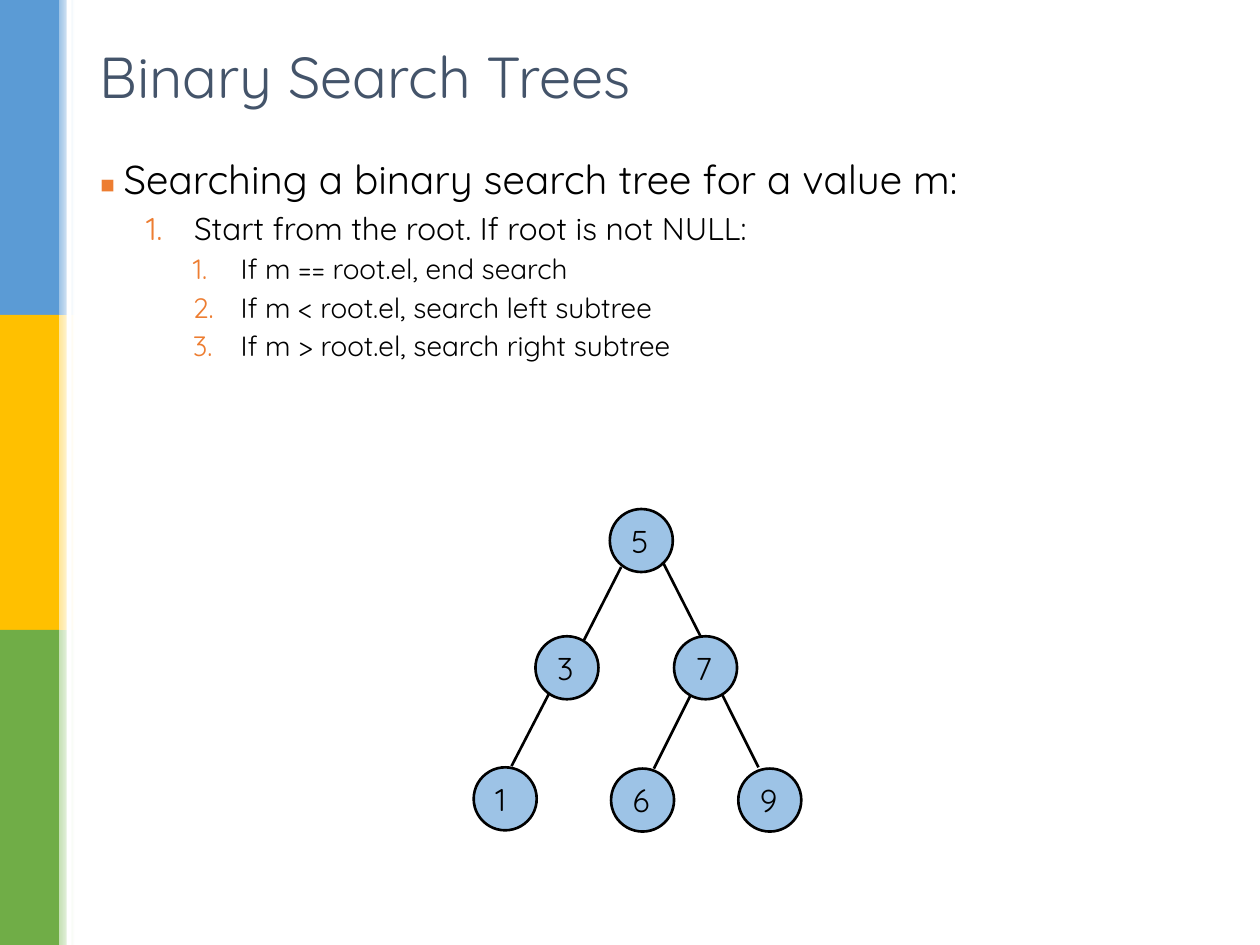
from lxml.etree import SubElement
from pptx import Presentation
from pptx.dml.color import RGBColor
from pptx.enum.shapes import MSO_CONNECTOR, MSO_SHAPE
from pptx.enum.text import MSO_ANCHOR, MSO_AUTO_SIZE, PP_ALIGN
from pptx.oxml.ns import qn
from pptx.util import Inches, Pt

BARS = [("5B9BD5", "9DC3E6"), ("FFC000", "FFE699"), ("70AD47", "C5E0B4")]
LEVELS = [(23, 0.19, 0.19), (18, 0.75, 0.38), (16, 1.12, 0.38)]
BULLETS = [
    (0, "Searching a binary search tree for a value m:"),
    (1, "Start from the root. If root is not NULL:"),
    (2, "If m == root.el, end search"),
    (2, "If m < root.el, search left subtree"),
    (2, "If m > root.el, search right subtree"),
]
NODES = {
    "5": (4.84, 4.04),
    "3": (4.25, 5.05),
    "7": (5.35, 5.05),
    "1": (3.76, 6.09),
    "6": (4.85, 6.1),
    "9": (5.86, 6.1),
}
EDGES = [
    (4.93, 4.5, 4.63, 5.09),
    (5.26, 4.46, 5.56, 5.05),
    (4.36, 5.5, 4.06, 6.08),
    (5.48, 5.52, 5.19, 6.1),
    (5.73, 5.51, 6.02, 6.09),
]


def rgb(value):
    return RGBColor.from_string(value)


def write(p, text, size=18, color="000000", font="Quicksand"):
    p.alignment = PP_ALIGN.LEFT
    r = p.add_run()
    r.text = text
    r.font.size = Pt(size)
    r.font.name = font
    r.font.color.rgb = rgb(color)


class TreeSlide:
    accent = "ED7D31"
    title_color = "44546A"
    node_fill = "9DC3E6"
    ink = "000000"
    line_width = Pt(1.5)
    node_size = 0.5

    def __init__(self, prs):
        self.s = prs.slides.add_slide(prs.slide_layouts[1])

    def place(self, sp, x, y, w, h):
        sp.left, sp.top, sp.width, sp.height = map(Inches, (x, y, w, h))
        sp.text_frame.auto_size = MSO_AUTO_SIZE.NONE
        return sp.text_frame

    def title(self, text, *box):
        tf = self.place(self.s.shapes.title, *box)
        tf.vertical_anchor = MSO_ANCHOR.MIDDLE
        write(tf.paragraphs[0], text, size=33, color=self.title_color)

    def bullets(self, items, *box):
        tf = self.place(self.s.placeholders[1], *box)
        for i, (level, text) in enumerate(items):
            p = tf.add_paragraph() if i else tf.paragraphs[0]
            size, margin, hanging = LEVELS[level]
            write(p, text, size=size)
            p.level = level
            p.line_spacing = 0.9
            self.bullet(p, level, margin, hanging)

    def bullet(self, p, level, margin, hanging):
        pPr = p._p.get_or_add_pPr()
        pPr.set("marL", str(Inches(margin)))
        pPr.set("indent", str(-Inches(hanging)))
        before = SubElement(pPr, qn("a:spcBef"))
        SubElement(before, qn("a:spcPct"), val="30000")
        color = SubElement(pPr, qn("a:buClr"))
        SubElement(color, qn("a:srgbClr"), val=self.accent)
        if level:
            SubElement(pPr, qn("a:buFont"), typeface="+mj-lt")
            SubElement(pPr, qn("a:buAutoNum"), type="arabicPeriod")
        else:
            SubElement(pPr, qn("a:buFont"), typeface="Noto Sans Symbols")
            SubElement(pPr, qn("a:buChar"), char="▪")

    def shape(self, kind, x, y, w, h):
        sp = self.s.shapes.add_shape(kind, *map(Inches, (x, y, w, h)))
        sp.shadow.inherit = False
        sp.line.fill.background()
        return sp

    def bar(self, color, *box):
        sp = self.shape(MSO_SHAPE.RECTANGLE, *box)
        sp.fill.solid()
        sp.fill.fore_color.rgb = rgb(color)

    def fade(self, color, *box):
        sp = self.shape(MSO_SHAPE.RECTANGLE, *box)
        sp.fill.gradient()
        sp.fill.gradient_angle = 0
        for stop, value in zip(sp.fill.gradient_stops, (color, "FFFFFF")):
            stop.color.rgb = rgb(value)

    def outline(self, line):
        line.color.rgb = rgb(self.ink)
        line.width = self.line_width

    def node(self, text, x, y):
        sp = self.shape(MSO_SHAPE.OVAL, x, y, self.node_size, self.node_size)
        sp.fill.solid()
        sp.fill.fore_color.rgb = rgb(self.node_fill)
        self.outline(sp.line)
        tf = sp.text_frame
        tf.word_wrap = False
        tf.vertical_anchor = MSO_ANCHOR.MIDDLE
        write(tf.paragraphs[0], text)

    def edge(self, *ends):
        cx = self.s.shapes.add_connector(MSO_CONNECTOR.STRAIGHT, *map(Inches, ends))
        self.outline(cx.line)
        SubElement(cx._element.spPr, qn("a:effectLst"))


def main():
    prs = Presentation()
    prs.slide_width, prs.slide_height = Inches(10), Inches(7.5)
    slide = TreeSlide(prs)
    bar_height = 7.5 / len(BARS)
    for i, (color, tint) in enumerate(BARS):
        slide.bar(color, 0, i * bar_height, 0.47, bar_height)
        slide.fade(tint, 0.47, i * bar_height, 0.12, bar_height)
    slide.bar("FFFFFF", 0.53, 0, 0.04, 7.5)
    slide.title("Binary Search Trees", 0.69, 0.26, 8.62, 0.68)
    slide.bullets(BULLETS, 0.69, 1.22, 8.86, 5.83)
    for text, (x, y) in NODES.items():
        slide.node(text, x, y)
    for ends in EDGES:
        slide.edge(*ends)
    prs.save("out.pptx")


if __name__ == "__main__":
    main()
